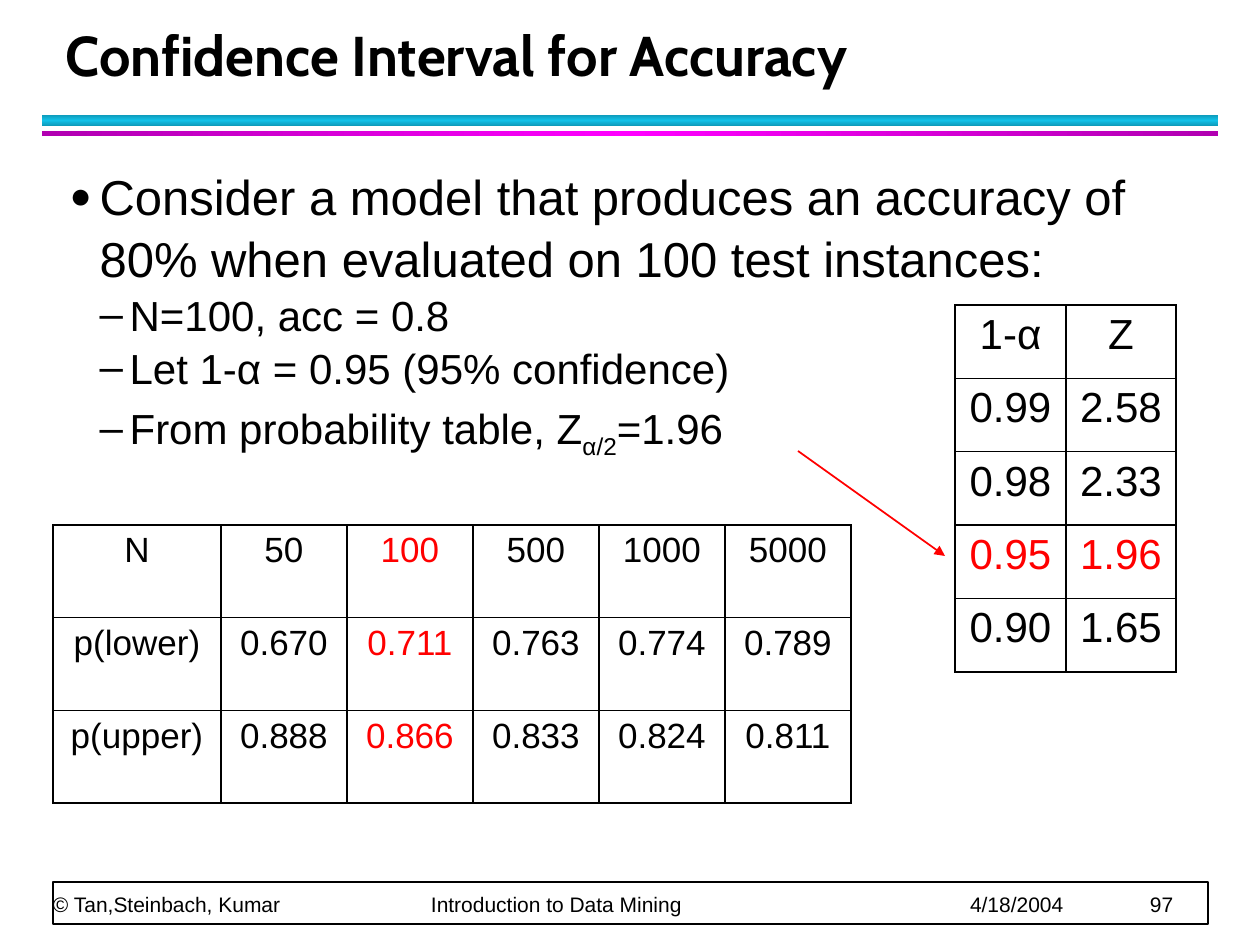
"""Build the slide on the confidence interval for accuracy."""
from copy import deepcopy
from dataclasses import dataclass

from lxml import etree
from pptx import Presentation
from pptx.dml.color import RGBColor
from pptx.enum.shapes import MSO_CONNECTOR, MSO_SHAPE
from pptx.enum.text import MSO_ANCHOR, MSO_AUTO_SIZE, PP_ALIGN
from pptx.oxml.ns import qn
from pptx.util import Emu, Pt

RECTANGLE = MSO_SHAPE.RECTANGLE
STRAIGHT = MSO_CONNECTOR.STRAIGHT
BOTTOM, TOP = MSO_ANCHOR.BOTTOM, MSO_ANCHOR.TOP
LEFT, CENTER = PP_ALIGN.LEFT, PP_ALIGN.CENTER
NO_AUTOFIT = MSO_AUTO_SIZE.NONE
PX_PER_INCH = 126
COLORS = {
    "ink": "000000", "paper": "FFFFFF", "highlight": "FF0000",
    "teal": "0E9AB9", "cyan": "12C2E9", "purple": "B100B1", "magenta": "FF00FF",
}


@dataclass
class Box:
    left: int
    top: int
    width: int
    height: int


@dataclass
class Rule:
    box: Box
    edge: str
    middle: str
    angle: int


@dataclass
class Grid:
    box: Box
    widths: list[int]
    rows: list[list[str]]
    size: int
    highlights: set[str]


@dataclass
class Bullet:
    mark: str
    mark_percent: int
    level: int
    runs: list[tuple[str, int, int]]


RULES = [
    Rule(Box(42, 115, 1176, 11), "teal", "cyan", 90),
    Rule(Box(42, 131, 1176, 5), "purple", "magenta", 0),
]
BULLETS = [
    Bullet("●", 75, 0, [("Consider a model that produces an accuracy of 80% "
                         "when evaluated on 100 test instances:", 28, 0)]),
    Bullet("–", 100, 1, [("N=100, acc = 0.8", 24, 0)]),
    Bullet("–", 100, 1, [("Let 1-α = 0.95 (95% confidence)", 24, 0)]),
    Bullet("–", 100, 1, [("From probability table, Z", 24, 0), ("α/2", 24, -25000),
                         ("=1.96", 24, 0), (" ", 28, 0)]),
]
Z_TABLE = Grid(
    Box(955, 305, 221, 367), [111, 110],
    [["1-α", "Z"], ["0.99", "2.58"], ["0.98", "2.33"], ["0.95", "1.96"], ["0.90", "1.65"]],
    24, {"0.95", "1.96"},
)
BOUNDS_TABLE = Grid(
    Box(53, 525, 798, 278), [168] + [126] * 5,
    [["N", "50", "100", "500", "1000", "5000"],
     ["p(lower)", "0.670", "0.711", "0.763", "0.774", "0.789"],
     ["p(upper)", "0.888", "0.866", "0.833", "0.824", "0.811"]],
    20, {"100", "0.711", "0.866"},
)
FOOTER = "© Tan,Steinbach, Kumar\tIntroduction to Data Mining\t4/18/2004\t97"
FOOTER_TABS = [378, 917, 1097]


def px(length: int) -> Emu:
    return Emu(round(length * 914400 / PX_PER_INCH))


def rgb(name: str) -> RGBColor:
    return RGBColor.from_string(COLORS[name])


def place(shape, box: Box) -> None:
    shape.left, shape.top = px(box.left), px(box.top)
    shape.width, shape.height = px(box.width), px(box.height)


def add_run(paragraph, text: str, size: int, color: str = "ink",
            font: str = "Arial", bold: bool = False):
    run = paragraph.add_run()
    run.text = text
    run.font.size, run.font.name, run.font.bold = Pt(size), font, bold
    run.font.color.rgb = rgb(color)
    return run


def add_rectangle(slide, box: Box):
    rectangle = slide.shapes.add_shape(
        RECTANGLE, px(box.left), px(box.top), px(box.width), px(box.height))
    rectangle.shadow.inherit = False
    return rectangle


def add_rule(slide, rule: Rule) -> None:
    bar = add_rectangle(slide, rule.box)
    bar.line.fill.background()
    bar.fill.gradient()
    bar.fill.gradient_angle = rule.angle
    stops = bar._element.spPr.find(".//" + qn("a:gsLst"))
    stops.insert(1, deepcopy(stops[0]))
    for stop, position, color in zip(bar.fill.gradient_stops, (0, 0.5, 1),
                                     (rule.edge, rule.middle, rule.edge)):
        stop.position = position
        stop.color.rgb = rgb(color)


def add_footer(slide) -> None:
    frame = add_rectangle(slide, Box(53, 882, 1155, 42))
    frame.fill.solid()
    frame.fill.fore_color.rgb = rgb("paper")
    frame.line.color.rgb = rgb("ink")
    frame.line.width = Pt(1)
    text = slide.shapes.add_textbox(px(53), px(847), px(1153), px(70)).text_frame
    text.word_wrap = True
    text.vertical_anchor = BOTTOM
    text.margin_left = text.margin_right = text.margin_top = text.margin_bottom = 0
    paragraph = text.paragraphs[0]
    paragraph.line_spacing = Pt(7)
    tabs = etree.SubElement(paragraph._p.get_or_add_pPr(), qn("a:tabLst"))
    for position in FOOTER_TABS:
        etree.SubElement(tabs, qn("a:tab"), pos=str(px(position)), algn="l")
    add_run(paragraph, FOOTER, 12)


def fill_title(title) -> None:
    place(title, Box(53, 21, 1142, 73))
    title.text_frame.auto_size = NO_AUTOFIT
    title.text_frame.vertical_anchor = BOTTOM
    paragraph = title.text_frame.paragraphs[0]
    paragraph.alignment = LEFT
    add_run(paragraph, "Confidence Interval for Accuracy", 32, font="Cabin", bold=True)


def fill_body(body) -> None:
    place(body, Box(57, 157, 1147, 715))
    text = body.text_frame
    text.auto_size = NO_AUTOFIT
    text.vertical_anchor = TOP
    for index, bullet in enumerate(BULLETS):
        paragraph = text.add_paragraph() if index else text.paragraphs[0]
        paragraph.level = bullet.level
        paragraph.line_spacing = 1.05
        paragraph.space_before = Pt(0)
        properties = paragraph._p.get_or_add_pPr()
        properties.set("marL", str(px(30 * (bullet.level + 1))))
        properties.set("indent", str(px(-30)))
        etree.SubElement(properties, qn("a:buSzPct"), val=str(bullet.mark_percent * 1000))
        etree.SubElement(properties, qn("a:buFont"), typeface="Arial")
        etree.SubElement(properties, qn("a:buChar"), char=bullet.mark)
        for words, size, baseline in bullet.runs:
            run = add_run(paragraph, words, size)
            if baseline:
                run.font._element.set("baseline", str(baseline))


def add_borders(cell) -> None:
    properties = cell._tc.get_or_add_tcPr()
    for side in ("lnL", "lnR", "lnT", "lnB"):
        border = etree.SubElement(properties, qn(f"a:{side}"), w=str(Pt(1)))
        fill = etree.SubElement(border, qn("a:solidFill"))
        etree.SubElement(fill, qn("a:srgbClr"), val=COLORS["ink"])


def add_grid(slide, grid: Grid) -> None:
    box = grid.box
    table = slide.shapes.add_table(
        len(grid.rows), len(grid.widths),
        px(box.left), px(box.top), px(box.width), px(box.height)).table
    table.first_row = table.horz_banding = False
    for column, width in zip(table.columns, grid.widths):
        column.width = px(width)
    for row, values in zip(table.rows, grid.rows):
        for cell, value in zip(row.cells, values):
            add_borders(cell)
            cell.fill.background()
            paragraph = cell.text_frame.paragraphs[0]
            paragraph.alignment = CENTER
            color = "highlight" if value in grid.highlights else "ink"
            add_run(paragraph, value, grid.size, color)


def add_arrow(slide) -> None:
    arrow = slide.shapes.add_connector(STRAIGHT, px(798), px(451), px(945), px(556))
    arrow.line.color.rgb = rgb("highlight")
    arrow.line.width = Pt(1)
    etree.SubElement(arrow.line._get_or_add_ln(), qn("a:tailEnd"), type="triangle")
    etree.SubElement(arrow._element.spPr, qn("a:effectLst"))


def main() -> None:
    deck = Presentation()
    deck.slide_width, deck.slide_height = px(1260), px(945)
    slide = deck.slides.add_slide(deck.slide_layouts[1])
    for rule in RULES:
        add_rule(slide, rule)
    add_footer(slide)
    fill_title(slide.shapes.title)
    fill_body(slide.placeholders[1])
    add_grid(slide, Z_TABLE)
    add_arrow(slide)
    add_grid(slide, BOUNDS_TABLE)
    deck.save("out.pptx")


if __name__ == "__main__":
    main()
